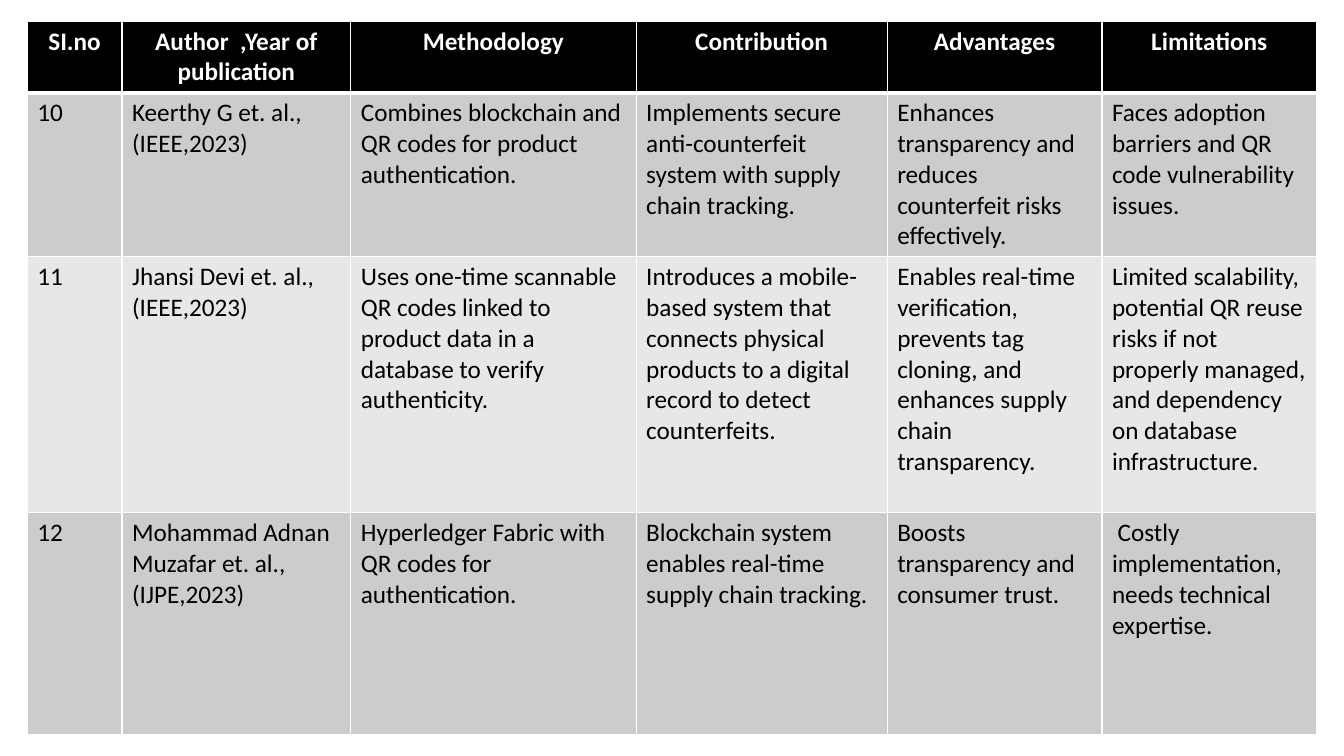
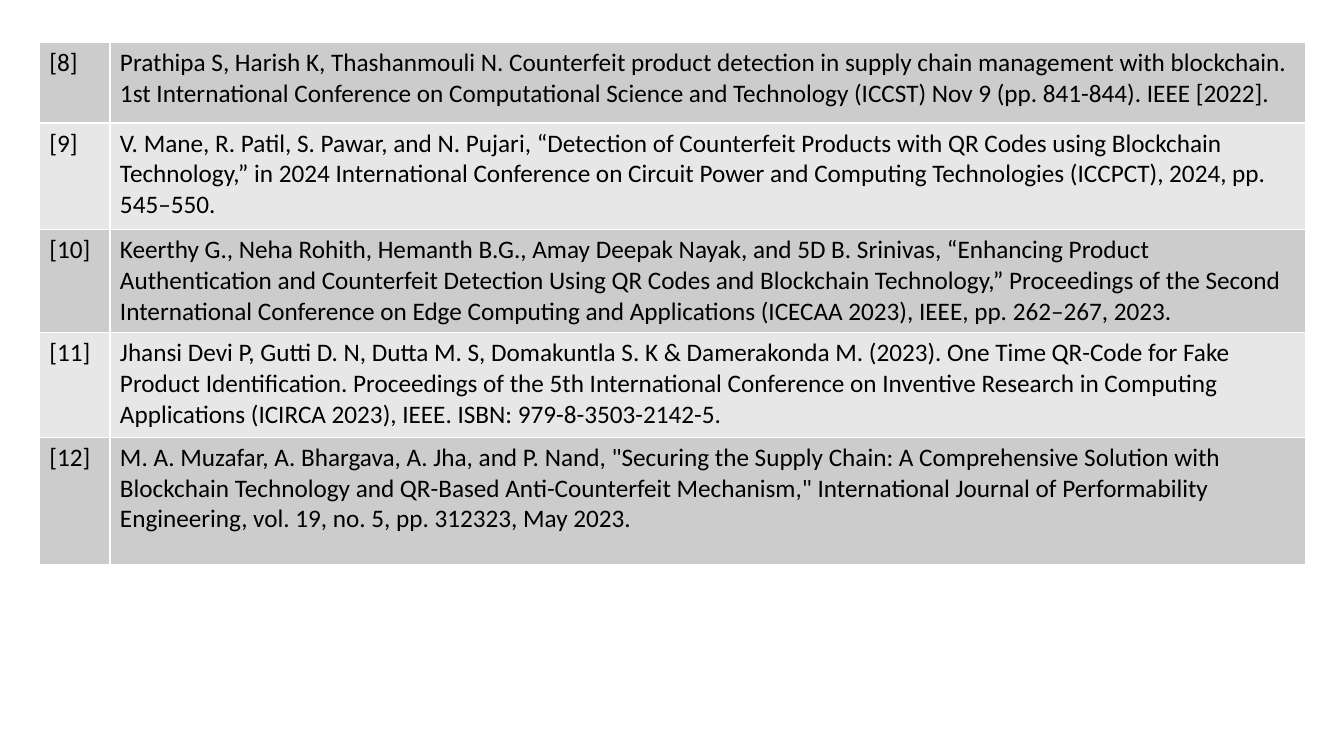
from lxml import etree
from pptx import Presentation
from pptx.dml.color import RGBColor
from pptx.enum import text
from pptx.oxml import ns
from pptx.util import Inches, Pt

BLACK = RGBColor(0x00, 0x00, 0x00)
WHITE = RGBColor(0xFF, 0xFF, 0xFF)
BANDS = [RGBColor(0xCC, 0xCC, 0xCC), RGBColor(0xE7, 0xE7, 0xE7)]
FONT = "Calibri"
SIZE = Pt(18)


def set_borders(cell, top, bottom):
    """Draw white cell borders; top and bottom are widths in points."""
    tcPr = cell._tc.get_or_add_tcPr()
    for side, width in (("L", 1), ("R", 1), ("T", top), ("B", bottom)):
        ln = etree.SubElement(tcPr, ns.qn(f"a:ln{side}"), w=str(Pt(width)))
        fill = etree.SubElement(ln, ns.qn("a:solidFill"))
        etree.SubElement(fill, ns.qn("a:srgbClr"), val=str(WHITE))


def add_banded_table(slide, left, top, widths, heights, rows, header=False):
    tbl = slide.shapes.add_table(
        len(rows), len(widths), Inches(left), Inches(top),
        Inches(sum(widths)), Inches(sum(heights))).table
    tbl.first_row = header
    tbl.horz_banding = False
    for column, width in zip(tbl.columns, widths):
        column.width = Inches(width)
    for i, (row, height) in enumerate(zip(rows, heights)):
        tbl.rows[i].height = Inches(height)
        is_header = header and i == 0
        band = BANDS[(i - header) % 2]
        for cell, value in zip(tbl.rows[i].cells, row):
            set_borders(cell, top=3 if header and i == 1 else 1,
                        bottom=3 if is_header else 1)
            cell.fill.solid()
            cell.fill.fore_color.rgb = BLACK if is_header else band
            cell.text_frame.text = value
            for p in cell.text_frame.paragraphs:
                p.alignment = text.PP_ALIGN.CENTER if is_header else text.PP_ALIGN.LEFT
                for r in p.runs:
                    r.font.name = FONT
                    r.font.size = SIZE
                    r.font.bold = is_header
                    r.font.color.rgb = WHITE if is_header else BLACK


prs = Presentation()
prs.slide_width = Inches(13.33)
prs.slide_height = Inches(7.5)
blank = prs.slide_layouts[6]

# Literature survey
survey = [
    ["SI.no", "Author  ,Year of publication", "Methodology",
     "Contribution", "Advantages", "Limitations"],
    ["10", "Keerthy G et. al.,\n(IEEE,2023)",
     "Combines blockchain and QR codes for product authentication.",
     "Implements secure anti-counterfeit system with supply chain tracking.",
     "Enhances transparency and reduces counterfeit risks effectively.",
     "Faces adoption barriers and QR code vulnerability \nissues."],
    ["11", "Jhansi Devi et. al.,\n(IEEE,2023)",
     "Uses one-time scannable QR codes linked to product data in a database "
     "to verify authenticity.",
     "Introduces a mobile-based system that connects physical products to a "
     "digital record to detect counterfeits.",
     "Enables real-time verification, prevents tag cloning, and enhances "
     "supply chain transparency.",
     "Limited scalability, potential QR reuse risks if not properly managed, "
     "and dependency on database infrastructure."],
    ["12", "Mohammad Adnan Muzafar et. al.,\n(IJPE,2023)",
     "Hyperledger Fabric with QR codes for authentication.",
     "Blockchain system enables real-time supply chain tracking.",
     "Boosts transparency and consumer trust.",
     " Costly implementation, needs technical \nexpertise."],
]
s = prs.slides.add_slide(blank)
add_banded_table(s, 0.27, 0.21, [0.94, 2.27, 2.83, 2.49, 2.13, 2.13],
                 [0.71, 1.62, 2.54, 2.2], survey, header=True)

# References
references = [
    ["[8]",
     "Prathipa S, Harish K, Thashanmouli N. Counterfeit product detection in "
     "supply chain management with blockchain. 1st International Conference on "
     "Computational Science and Technology (ICCST) Nov 9 (pp. 841-844). IEEE [2022]."],
    ["[9]",
     "V. Mane, R. Patil, S. Pawar, and N. Pujari, “Detection of Counterfeit "
     "Products with QR Codes using Blockchain Technology,” in 2024 International "
     "Conference on Circuit Power and Computing Technologies (ICCPCT), "
     "2024, pp. 545–550."],
    ["[10]",
     "Keerthy G., Neha Rohith, Hemanth B.G., Amay Deepak Nayak, and 5D B. Srinivas, "
     "“Enhancing Product Authentication and Counterfeit Detection Using QR Codes and "
     "Blockchain Technology,” Proceedings of the Second International Conference on "
     "Edge Computing and Applications (ICECAA 2023), IEEE, pp. 262–267, 2023."],
    ["[11]",
     "Jhansi Devi P, Gutti D. N, Dutta M. S, Domakuntla S. K & Damerakonda M. (2023). "
     "One Time QR-Code for Fake Product Identification. Proceedings of the 5th "
     "International Conference on Inventive Research in Computing Applications "
     "(ICIRCA 2023), IEEE. ISBN: 979-8-3503-2142-5."],
    ["[12]",
     "M. A. Muzafar, A. Bhargava, A. Jha, and P. Nand, \"Securing the Supply Chain: "
     "A Comprehensive Solution with Blockchain Technology and QR-Based "
     "Anti-Counterfeit Mechanism,\" International Journal of Performability "
     "Engineering, vol. 19, no. 5, pp. 312323, May 2023."],
]
s = prs.slides.add_slide(blank)
add_banded_table(s, 0.39, 0.42, [0.7, 11.86],
                 [0.8, 1.06, 1.02, 1.04, 1.26], references)

prs.save("out.pptx")
